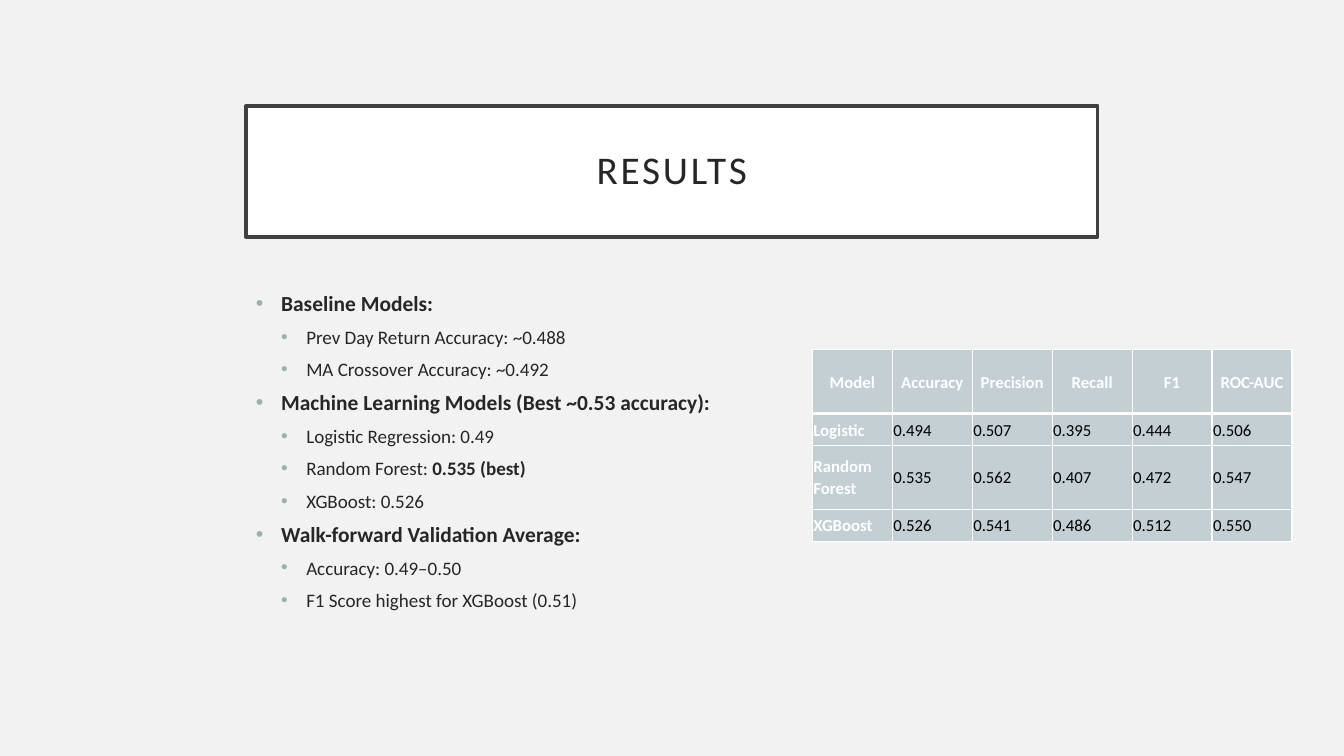
from lxml.etree import SubElement
from pptx import Presentation
from pptx.dml.color import RGBColor as RGB
from pptx.enum.shapes import MSO_SHAPE as SHAPE
from pptx.enum.text import MSO_ANCHOR as ANCHOR, PP_ALIGN as ALIGN
from pptx.oxml.ns import qn
from pptx.util import Pt

COLORS = {"back": "F2F2F2", "white": "FFFFFF", "frame": "404040", "ink": "262626",
          "bullet": "9BAFB5", "cell": "C3CFD3", "black": "000000"}
SIDES = ("left", "top", "right", "bottom")


class ResultsSlide:
    """Holds the style and the current slide, and draws each kind of element."""

    font = "Calibri"

    def __init__(self, prs):
        self.s = prs.slides.add_slide(prs.slide_layouts[6])
        self.fill(self.s.background, "back")

    def fill(self, target, color):
        target.fill.solid()
        target.fill.fore_color.rgb = RGB.from_string(COLORS[color])

    def apply(self, target, formats):
        for name, value in formats.items():
            setattr(target, name, value)

    def run(self, p, text, size, color="ink", bold=False):
        r = p.add_run()
        r.text = text
        self.apply(r.font, {"name": self.font, "size": Pt(size), "bold": bold})
        r.font.color.rgb = RGB.from_string(COLORS[color])
        return r

    def title(self, text, box):
        sp = self.s.shapes.add_shape(SHAPE.RECTANGLE, *map(Pt, box))
        sp.shadow.inherit = False
        self.fill(sp, "white")
        sp.line.color.rgb = RGB.from_string(COLORS["frame"])
        sp.line.width = Pt(2.5)
        tf = sp.text_frame
        self.apply(tf, {"word_wrap": True, "vertical_anchor": ANCHOR.MIDDLE})
        self.apply(tf, {f"margin_{side}": Pt(14.4) for side in SIDES})
        p = tf.paragraphs[0]
        self.apply(p, {"alignment": ALIGN.CENTER, "line_spacing": 0.9})
        r = self.run(p, text, 28)
        r.font._element.set("spc", "200")

    def bullets(self, groups, box):
        tf = self.s.shapes.add_textbox(*map(Pt, box)).text_frame
        tf.word_wrap = True
        lines = []
        for heading, items in groups:
            lines.append((0, heading, ""))
            lines += [(1, *item) for item in items]
        for i, (level, text, strong) in enumerate(lines):
            p = tf.add_paragraph() if i else tf.paragraphs[0]
            self.apply(p, {"level": level, "line_spacing": 0.8, "space_before": Pt(10)})
            self.bullet(p, level)
            size = 13.6 if level else 15.3
            self.run(p, text, size, bold=level == 0)
            if strong:
                self.run(p, strong, size, bold=True)

    def bullet(self, p, level):
        pPr = p._p.get_or_add_pPr()
        pPr.set("marL", str(Pt(18 * (level + 1))))
        pPr.set("indent", str(-Pt(18)))
        color = SubElement(pPr, qn("a:buClr"))
        SubElement(color, qn("a:srgbClr"), val=COLORS["bullet"])
        SubElement(pPr, qn("a:buFont"), typeface="Arial")
        SubElement(pPr, qn("a:buChar"), char="•")

    def table(self, rows, box, heights):
        shape = self.s.shapes.add_table(len(rows), len(rows[0]), *map(Pt, box))
        table = shape.table
        for column in table.columns:
            column.width = Pt(box[2] / len(rows[0]))
        for i, (row, height) in enumerate(zip(rows, heights)):
            table.rows[i].height = Pt(height)
            for j, text in enumerate(row):
                self.cell(table.cell(i, j), text, i, j)

    def cell(self, cell, text, i, j):
        label = i == 0 or j == 0
        self.apply(cell, {f"margin_{side}": Pt(0.72) for side in SIDES})
        cell.vertical_anchor = ANCHOR.MIDDLE
        self.borders(cell, {"L": 1, "R": 1, "T": 3 if i == 1 else 1, "B": 1 if i else 3})
        self.fill(cell, "cell")
        p = cell.text_frame.paragraphs[0]
        self.apply(p, {"alignment": ALIGN.LEFT if i else ALIGN.CENTER,
                       "line_spacing": 1.07, "space_after": Pt(8)})
        self.run(p, text, 12, "white" if label else "black", label)

    def borders(self, cell, widths):
        tcPr = cell._tc.get_or_add_tcPr()
        for side, width in widths.items():
            line = SubElement(tcPr, qn(f"a:ln{side}"), w=str(Pt(width)))
            solid = SubElement(line, qn("a:solidFill"))
            SubElement(solid, qn("a:srgbClr"), val=COLORS["white"])


GROUPS = [
    ("Baseline Models:", [
        ("Prev Day Return Accuracy: ~0.488", ""),
        ("MA Crossover Accuracy: ~0.492", "")]),
    ("Machine Learning Models (Best ~0.53 accuracy):", [
        ("Logistic Regression: 0.49", ""),
        ("Random Forest: ", "0.535 (best)"),
        ("XGBoost: 0.526", "")]),
    ("Walk-forward Validation Average:", [
        ("Accuracy: 0.49–0.50", ""),
        ("F1 Score highest for XGBoost (0.51)", "")]),
]
SCORES = [
    ("Model", "Accuracy", "Precision", "Recall", "F1", "ROC-AUC"),
    ("Logistic", "0.494", "0.507", "0.395", "0.444", "0.506"),
    ("Random Forest", "0.535", "0.562", "0.407", "0.472", "0.547"),
    ("XGBoost", "0.526", "0.541", "0.486", "0.512", "0.550"),
]


def main():
    prs = Presentation()
    prs.slide_width, prs.slide_height = Pt(960), Pt(540)
    slide = ResultsSlide(prs)
    slide.title("RESULTS", (175.7, 75.6, 608.4, 93.6))
    slide.bullets(GROUPS, (175.7, 207.4, 608.4, 244))
    slide.table(SCORES, (580.3, 249.9, 342.7, 136.8), (45.5, 22.9, 45.5, 22.9))
    prs.save("out.pptx")


if __name__ == "__main__":
    main()
